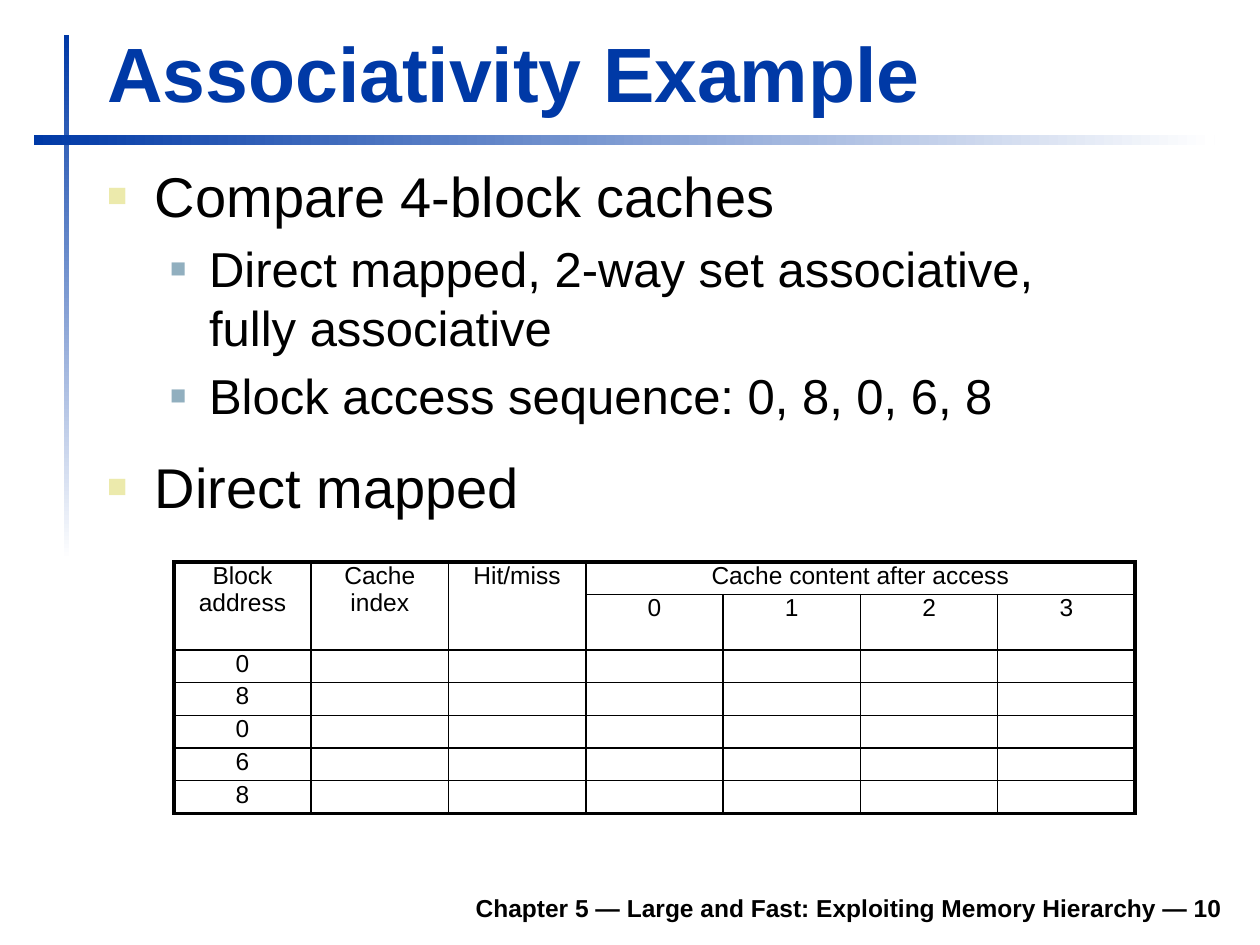
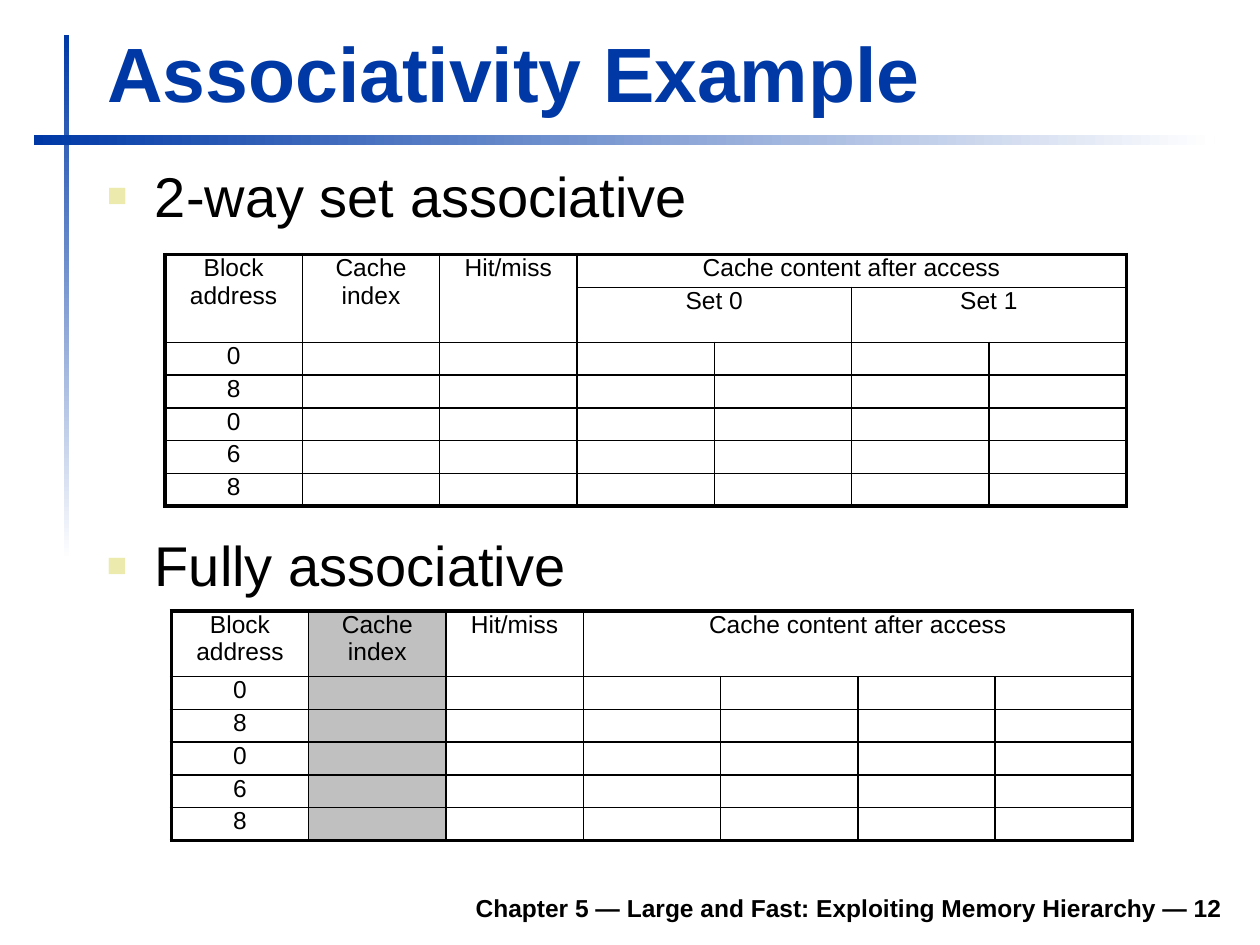
"""Build two slides that compare cache associativity."""
import lxml.etree
import pptx
import pptx.dml.color
import pptx.enum.shapes
import pptx.enum.text
import pptx.oxml.ns
import pptx.util

Inches = pptx.util.Inches
Pt = pptx.util.Pt
ALIGN = pptx.enum.text.PP_ALIGN
ANCHOR = pptx.enum.text.MSO_ANCHOR
FIT = pptx.enum.text.MSO_AUTO_SIZE

HUES = {"blue": "0039A6", "white": "FFFFFF", "black": "000000",
        "cream": "ECEAAC", "steel": "91AFBF", "gray": "C0C0C0"}

TITLE = "Associativity Example"
FOOT = "Chapter 5 — Large and Fast: Exploiting Memory Hierarchy — {}"
BARS = [((0.51, 0.28, 0.04, 4.17), 270), ((0.27, 1.07, 9.37, 0.08), 0)]
LEVELS = [
    {"size": 32, "left": 0.38, "hang": 0.38, "hue": "cream", "scale": 60},
    {"size": 28, "left": 0.81, "hang": 0.31, "hue": "steel", "scale": 55},
]

BLOCKS = ["0", "8", "0", "6", "8"]
HEAD = ["Block address", "Cache index", "Hit/miss", "Cache content after access"]
COLS, COL, ROW, KEYS = 7, 1.09, 0.26, 3
THIN, THICK = 1, 2.25

SLIDES = [
    {"page": 10,
     "body": ((0.75, 1.23, 9.05, 3.07), [
         (0, "Compare 4-block caches", 20),
         (1, "Direct mapped, 2-way set associative,\vfully associative", 20),
         (1, "Block access sequence: 0, 8, 0, 6, 8", 20),
         (0, "Direct mapped", 50)]),
     "grids": [{"at": (1.38, 4.46), "sub": ["0", "1", "2", "3"]}]},
    {"page": 12,
     "body": ((0.75, 1.23, 9.05, 0.79), [(0, "2-way set associative", 20)]),
     "extra": ((0.75, 4.22, 8.5, 0.63), [(0, "Fully associative", 20)]),
     "grids": [{"at": (1.36, 4.85), "sub": [], "shade": 1},
               {"at": (1.31, 2.02), "sub": ["Set 0", "Set 1"]}]},
]


def put(thing, **form):
    for key, value in form.items():
        setattr(thing, key, value)


def hue(name):
    return pptx.dml.color.RGBColor.from_string(HUES[name])


def node(up, tag, **attrs):
    return lxml.etree.SubElement(up, pptx.oxml.ns.qn("a:" + tag), attrs)


def place(shape, box):
    put(shape, **dict(zip(("left", "top", "width", "height"), map(Inches, box))))


def style(para, size, tint="black", bold=False):
    for run in para.runs:
        put(run.font, size=Pt(size), name="Arial", bold=bold)
        run.font.color.rgb = hue(tint)


def space(para, part):
    props = para._p.get_or_add_pPr()
    node(node(props, "spcBef"), "spcPct", val=str(part * 1000))
    return props


def bullets(shape, items, tight=None):
    frame = shape.text_frame
    put(frame, word_wrap=True, auto_size=FIT.NONE)
    for i, (level, text, gap) in enumerate(items):
        para = frame.add_paragraph() if i else frame.paragraphs[0]
        put(para, text=text, level=level, line_spacing=tight)
        look = LEVELS[level]
        style(para, look["size"])
        props = space(para, gap)
        props.set("marL", str(Inches(look["left"])))
        props.set("indent", str(-Inches(look["hang"])))
        node(node(props, "buClr"), "srgbClr", val=HUES[look["hue"]])
        node(props, "buSzPct", val=str(look["scale"] * 1000))
        node(props, "buFont", typeface="Arial")
        node(props, "buChar", char="■")


def bar(slide, box, angle):
    kind = pptx.enum.shapes.MSO_SHAPE.RECTANGLE
    shape = slide.shapes.add_shape(kind, *map(Inches, box))
    shape.shadow.inherit = False
    shape.line.fill.background()
    shape.fill.gradient()
    shape.fill.gradient_angle = angle
    for stop, name, spot in zip(shape.fill.gradient_stops, ("blue", "white"), (0, 1)):
        stop.color.rgb = hue(name)
        stop.position = spot


def edges(cell, sides):
    props = cell._tc.get_or_add_tcPr()
    for side, outer in sides.items():
        line = node(props, "ln" + side, w=str(Pt(THICK if outer else THIN)))
        node(node(line, "solidFill"), "srgbClr", val=HUES["black"])


def fill(cell, text, shade):
    put(cell, text=text, margin_left=Inches(0.1), margin_right=Inches(0.1),
        margin_top=0, margin_bottom=0)
    para = cell.text_frame.paragraphs[0]
    para.alignment = ALIGN.CENTER
    space(para, 20)
    style(para, 14)
    if not text:
        node(node(para._p, "endParaRPr", sz="1400"), "latin", typeface="Arial")
    if shade:
        cell.fill.solid()
        cell.fill.fore_color.rgb = hue("gray")
    else:
        cell.fill.background()


def grid(slide, at, sub, shade=None):
    tops = 2 if sub else 1
    rows = tops + len(BLOCKS)
    high = [ROW] * rows if sub else [2 * ROW] + [ROW] * len(BLOCKS)
    size = (COL * COLS, sum(high))
    table = slide.shapes.add_table(rows, COLS, *map(Inches, at + size)).table
    put(table, first_row=False, horz_banding=False)
    for col in table.columns:
        col.width = Inches(COL)
    for row, tall in zip(table.rows, high):
        row.height = Inches(tall)

    words = {(0, c): text for c, text in enumerate(HEAD)}
    words.update({(tops + r, 0): text for r, text in enumerate(BLOCKS)})
    table.cell(0, KEYS).merge(table.cell(0, COLS - 1))
    if sub:
        for c in range(KEYS):
            table.cell(0, c).merge(table.cell(1, c))
        span = (COLS - KEYS) // len(sub)
        for i, text in enumerate(sub):
            c = KEYS + i * span
            words[1, c] = text
            if span > 1:
                table.cell(1, c).merge(table.cell(1, c + span - 1))

    for r in range(rows):
        for c in range(COLS):
            cell = table.cell(r, c)
            wide = cell.span_width if cell.is_merge_origin else 1
            deep = cell.span_height if cell.is_merge_origin else 1
            edges(cell, {"L": c == 0, "R": c + wide == COLS,
                         "T": r == 0, "B": r + deep == rows})
            fill(cell, words.get((r, c), ""), c == shade)


def label(shape, box, text, size, tint, align, fit):
    place(shape, box)
    frame = shape.text_frame
    put(frame, text=text, word_wrap=True, auto_size=fit, vertical_anchor=ANCHOR.BOTTOM)
    frame.paragraphs[0].alignment = align
    style(frame.paragraphs[0], size, tint, True)


def build(deck, page, body, grids, extra=None):
    slide = deck.slides.add_slide(deck.slide_layouts[1])
    for box, angle in BARS:
        bar(slide, box, angle)
    label(slide.shapes.title, (0.75, 0.16, 9.03, 0.83), TITLE, 44, "blue",
          ALIGN.LEFT, FIT.SHAPE_TO_FIT_TEXT)
    foot = slide.shapes.add_textbox(0, 0, 0, 0)
    label(foot, (1.85, 6.98, 7.95, 0.39), FOOT.format(page), 14, "black",
          ALIGN.RIGHT, FIT.NONE)
    box, items = body
    place(slide.placeholders[1], box)
    bullets(slide.placeholders[1], items)
    if extra:
        box, items = extra
        bullets(slide.shapes.add_textbox(*map(Inches, box)), items, 0.9)
    for form in grids:
        grid(slide, **form)


deck = pptx.Presentation()
put(deck, slide_width=Inches(10), slide_height=Inches(7.5))
for page in SLIDES:
    build(deck, **page)
deck.save("out.pptx")
